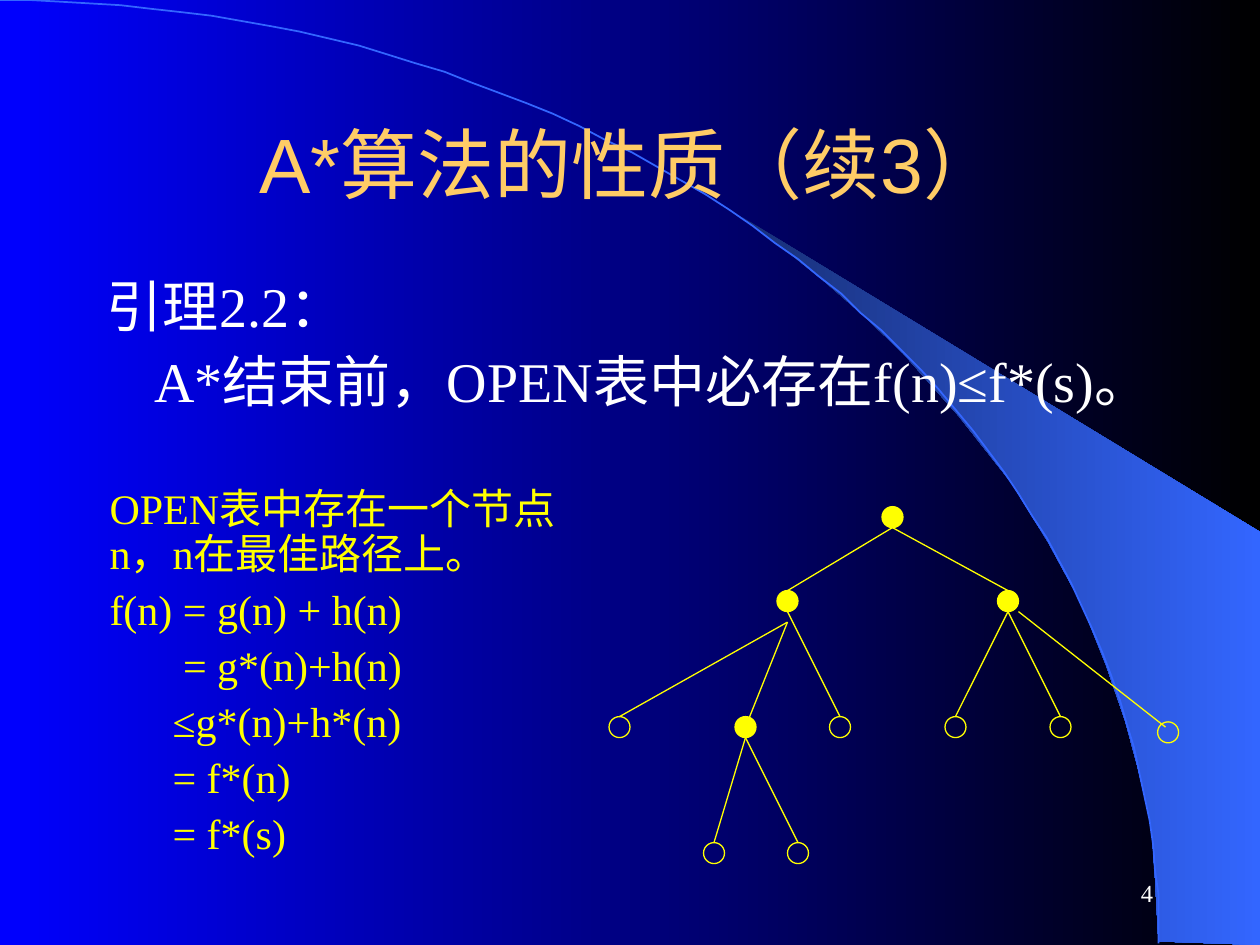
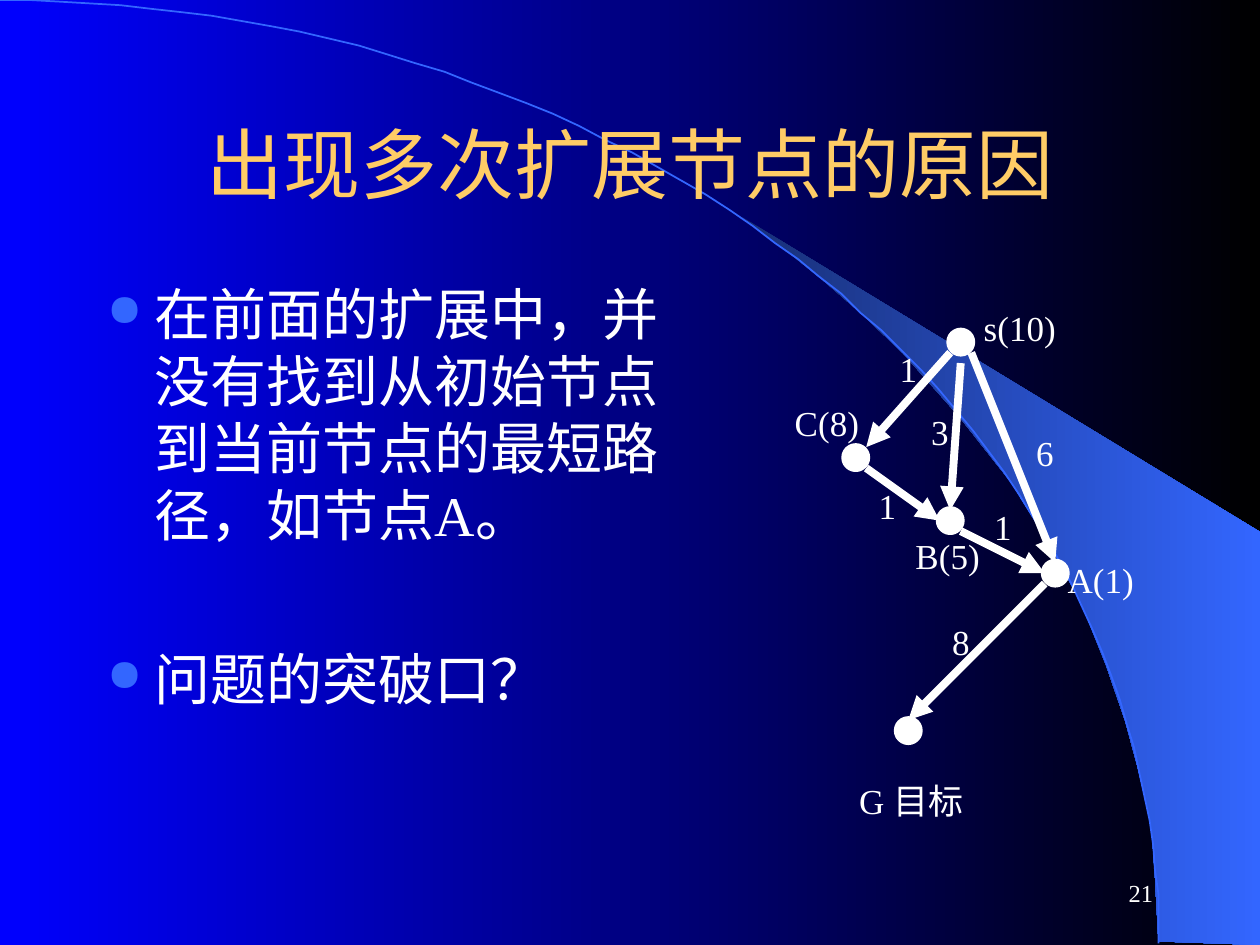
from dataclasses import dataclass
from math import cos, pi, sin

from pptx import Presentation
from pptx.dml.color import RGBColor
from pptx.enum.shapes import MSO_CONNECTOR, MSO_SHAPE
from pptx.enum.text import MSO_ANCHOR, MSO_AUTO_SIZE, PP_ALIGN
from pptx.oxml.ns import qn
from pptx.util import Pt
from lxml.etree import SubElement


@dataclass(frozen=True)
class Theme:
    """Colours, fonts and type sizes shared by the slides."""

    blue: str = "0000FF"
    black: str = "000000"
    navy: str = "182F76"
    accent: str = "3366FF"
    gold: str = "FFCC66"
    white: str = "FFFFFF"
    yellow: str = "FFFF00"
    title_font: str = "Arial"
    body_font: str = "Times New Roman"
    title_size: int = 44
    body_size: int = 32
    proof_size: int = 24
    label_size: int = 20
    number_size: int = 14


THEME = Theme()
RADIUS = 6
WING = [
    (662.5, 538.5), (719.5, 539.5), (719.5, 304.5), (424, 124.5), (449.5, 143.5),
    (470, 160), (493, 180), (515.5, 201.5), (548.5, 237.5), (578, 276.5),
    (599, 310.5), (618, 345), (632, 380), (643, 412), (650, 438.5),
    (657.5, 472.5), (660, 501),
]
ARC_WIDTH, ARC_HEIGHT, ARC_STEPS = 662.5, 539.5, 60

TREE_NODES = {
    "root": (510, 295.5, True),
    "left": (450, 343.5, True),
    "right": (576, 343.5, True),
    "left 1": (354, 415.5, False),
    "left 2": (426, 415.5, True),
    "left 3": (480, 415.5, False),
    "right 1": (546, 415.5, False),
    "right 2": (606, 415.5, False),
    "right 3": (667.5, 418.5, False),
    "leaf 1": (408, 487.5, False),
    "leaf 2": (456, 487.5, False),
}
BELOW, ABOVE = (0, RADIUS), (0, -RADIUS)
TREE_EDGES = [
    ("root", "left", BELOW, ABOVE),
    ("root", "right", BELOW, ABOVE),
    ("left", "left 1", (0, 12), ABOVE),
    ("left", "left 2", (0, 12), (0, 0)),
    ("left", "left 3", BELOW, ABOVE),
    ("right", "right 1", BELOW, ABOVE),
    ("right", "right 2", BELOW, ABOVE),
    ("right", "right 3", (6, 6), (-1.5, -3)),
    ("left 2", "leaf 1", BELOW, ABOVE),
    ("left 2", "leaf 2", BELOW, ABOVE),
]

GRAPH_NODES = {
    "s": (549, 195.5),
    "C": (489, 261.5),
    "B": (543, 297.5),
    "A": (603, 327.5),
    "G": (519, 417.5),
}
GRAPH_EDGES = [
    ("s", "C", (-6, 6), (6, -6)),
    ("s", "B", (0, 12), ABOVE),
    ("s", "A", (6, 6), ABOVE),
    ("A", "G", (-6, 6), ABOVE),
    ("C", "B", (6, 6), (-6, 0)),
    ("B", "A", (6, 6), (-6, 0)),
]
NODE_LABELS = [
    ("s(10)", 555, 171.5, 55.5),
    ("A(1)", 603, 315.5, 52),
    ("B(5)", 516, 301.5, 51),
    ("C(8)", 447, 225.5, 51),
    ("G 目标", 481.5, 441.5, 78.5),
]
EDGE_LABELS = [
    ("6", 585, 243), ("3", 525, 231), ("1", 507, 195),
    ("1", 495, 273), ("1", 561, 285), ("8", 537, 351),
]


def rgb(color):
    """Turn a hex string into a colour."""
    return RGBColor.from_string(color)


def fill_gradient(fill, start, end):
    """Fill from left to right between two colours."""
    fill.gradient()
    fill.gradient_angle = 0
    for stop, color in zip(fill.gradient_stops, (start, end)):
        stop.color.rgb = rgb(color)


def add_bullet(paragraph):
    """Give a paragraph the round accent bullet."""
    properties = paragraph._p.get_or_add_pPr()
    color = SubElement(properties, qn("a:buClr"))
    SubElement(color, qn("a:srgbClr"), val=THEME.accent)
    SubElement(properties, qn("a:buSzPct"), val="80000")
    SubElement(properties, qn("a:buChar"), char="●")


def write(frame, text, *, size, color=THEME.white, font=THEME.body_font,
          align=PP_ALIGN.LEFT, line_spacing=1.0, space_before=0,
          margin=0, indent=0, bullet=False):
    """Append one formatted paragraph to a text frame."""
    paragraph = frame.add_paragraph() if frame.text else frame.paragraphs[0]
    properties = paragraph._p.get_or_add_pPr()
    properties.set("marL", str(Pt(margin)))
    properties.set("indent", str(Pt(indent)))
    if bullet:
        add_bullet(paragraph)
    paragraph.alignment = align
    paragraph.line_spacing = line_spacing
    paragraph.space_before = Pt(space_before)
    run = paragraph.add_run()
    run.text = text
    run.font.size = Pt(size)
    run.font.name = font
    run.font.color.rgb = rgb(color)


def add_text_frame(slide, left, top, width, height, anchor=MSO_ANCHOR.TOP, wrap=True):
    """Add a text box and return its empty frame."""
    frame = slide.shapes.add_textbox(Pt(left), Pt(top), Pt(width), Pt(height)).text_frame
    frame.word_wrap = wrap
    frame.vertical_anchor = anchor
    return frame


def add_outline(slide, points, close):
    """Add a freeform through points."""
    builder = slide.shapes.build_freeform(*points[0], scale=Pt(1))
    builder.add_line_segments(points[1:], close=close)
    shape = builder.convert_to_shape()
    shape.shadow.inherit = False
    return shape


def add_backdrop(slide):
    """Draw the blue wing and the arc along its edge."""
    wing = add_outline(slide, WING, True)
    fill_gradient(wing.fill, THEME.navy, THEME.accent)
    wing.line.fill.background()
    angles = [pi / 2 * step / ARC_STEPS for step in range(ARC_STEPS + 1)]
    arc = add_outline(
        slide,
        [(ARC_WIDTH * sin(angle), ARC_HEIGHT * (1 - cos(angle))) for angle in angles],
        False,
    )
    arc.fill.background()
    arc.line.color.rgb = rgb(THEME.accent)
    arc.line.width = Pt(1)


def add_slide(presentation, title, number):
    """Add a title-only slide with backdrop, title and page number."""
    slide = presentation.slides.add_slide(presentation.slide_layouts[5])
    add_backdrop(slide)
    frame = add_text_frame(slide, 516, 492, 150, 36, MSO_ANCHOR.MIDDLE)
    write(frame, number, size=THEME.number_size, align=PP_ALIGN.RIGHT)
    shape = slide.shapes.title
    shape.left, shape.top, shape.width, shape.height = Pt(54), Pt(48), Pt(612), Pt(90)
    slide.shapes._spTree.append(shape._element)
    frame = shape.text_frame
    frame.auto_size = MSO_AUTO_SIZE.NONE
    frame.vertical_anchor = MSO_ANCHOR.MIDDLE
    write(frame, title, size=THEME.title_size, color=THEME.gold,
          font=THEME.title_font, align=PP_ALIGN.CENTER)
    return slide


def add_node(slide, x, y, color, line_width, filled=True):
    """Draw a round node about its centre."""
    shape = slide.shapes.add_shape(
        MSO_SHAPE.OVAL, Pt(x - RADIUS), Pt(y - RADIUS), Pt(2 * RADIUS), Pt(2 * RADIUS))
    shape.shadow.inherit = False
    if filled:
        shape.fill.solid()
        shape.fill.fore_color.rgb = rgb(color)
    else:
        shape.fill.background()
    shape.line.color.rgb = rgb(color)
    shape.line.width = Pt(line_width)


def add_edge(slide, start, end, start_shift, end_shift, color, line_width, arrow=False):
    """Join two node centres, each end shifted off its centre."""
    connector = slide.shapes.add_connector(
        MSO_CONNECTOR.STRAIGHT,
        Pt(start[0] + start_shift[0]), Pt(start[1] + start_shift[1]),
        Pt(end[0] + end_shift[0]), Pt(end[1] + end_shift[1]))
    connector.line.color.rgb = rgb(color)
    connector.line.width = Pt(line_width)
    if arrow:
        SubElement(connector.line._get_or_add_ln(), qn("a:tailEnd"), type="triangle")
    SubElement(connector._element.spPr, qn("a:effectLst"))


def add_label(slide, text, left, top, width=24.5, align=PP_ALIGN.LEFT):
    """Add a one-line label of the graph."""
    frame = add_text_frame(slide, left, top, width, 31.5, MSO_ANCHOR.MIDDLE, wrap=False)
    write(frame, text, size=THEME.label_size, align=align)


def add_lemma_slide(presentation):
    """Build the lemma with its proof and search tree."""
    slide = add_slide(presentation, "A*算法的性质（续3）", "4")
    frame = add_text_frame(slide, 54, 156, 612, 85.5)
    write(frame, "引理2.2：", size=THEME.body_size, line_spacing=0.9)
    write(frame, "A*结束前，OPEN表中必存在f(n)≤f*(s)。", size=THEME.body_size,
          line_spacing=0.9, space_before=8, margin=27)
    for x, y, filled in TREE_NODES.values():
        add_node(slide, x, y, THEME.yellow, 0.75, filled)
    for parent, child, start_shift, end_shift in TREE_EDGES:
        add_edge(slide, TREE_NODES[parent], TREE_NODES[child],
                 start_shift, end_shift, THEME.yellow, 0.75)
    proof = [
        ("OPEN表中存在一个节点n，n在最佳路径上。", 0),
        ("f(n) = g(n) + h(n)", 0),
        ("= g*(n)+h(n)", 42),
        ("≤g*(n)+h*(n)", 36),
        ("= f*(n)", 36),
        ("= f*(s)", 36),
    ]
    frame = add_text_frame(slide, 55.5, 275.5, 283.5, 219)
    for index, (text, margin) in enumerate(proof):
        write(frame, text, size=THEME.proof_size, color=THEME.yellow, line_spacing=0.9,
              space_before=6 if index else 0, margin=margin)


def add_reason_slide(presentation):
    """Build the reasons beside the weighted graph."""
    slide = add_slide(presentation, "出现多次扩展节点的原因", "21")
    frame = add_text_frame(slide, 54, 156, 353, 324)
    reasons = [
        ("在前面的扩展中，并没有找到从初始节点到当前节点的最短路径，如节点A。", 0),
        ("问题的突破口？", 55),
    ]
    for text, space_before in reasons:
        write(frame, text, size=THEME.body_size, space_before=space_before,
              margin=27, indent=-27, bullet=True)
    for x, y in GRAPH_NODES.values():
        add_node(slide, x, y, THEME.white, 4.5)
    for start, end, start_shift, end_shift in GRAPH_EDGES:
        add_edge(slide, GRAPH_NODES[start], GRAPH_NODES[end],
                 start_shift, end_shift, THEME.white, 4.5, arrow=True)
    for text, left, top, width in NODE_LABELS:
        add_label(slide, text, left, top, width, PP_ALIGN.CENTER)
    for text, left, top in EDGE_LABELS:
        add_label(slide, text, left, top)


def main():
    """Build and save the presentation."""
    presentation = Presentation()
    presentation.slide_width, presentation.slide_height = Pt(720), Pt(540)
    fill_gradient(presentation.slide_master.background.fill, THEME.blue, THEME.black)
    add_lemma_slide(presentation)
    add_reason_slide(presentation)
    presentation.save("out.pptx")


if __name__ == "__main__":
    main()
